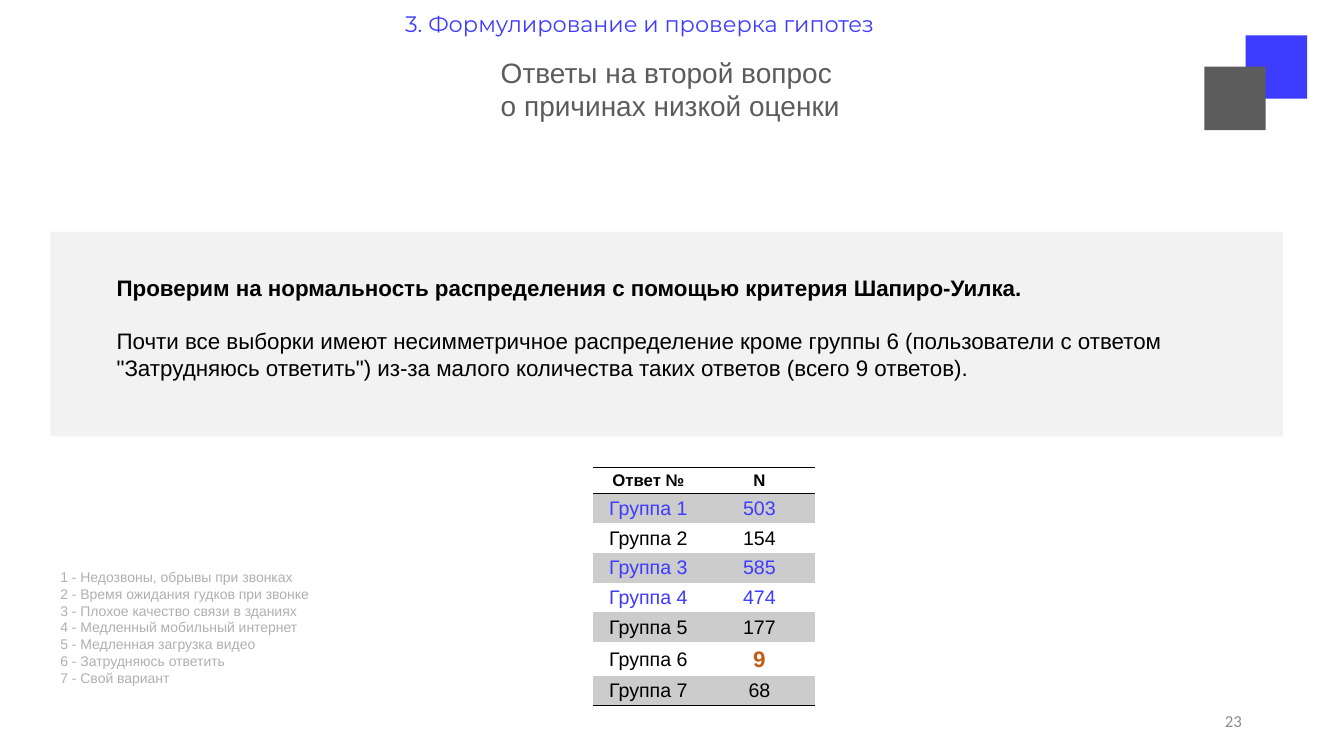
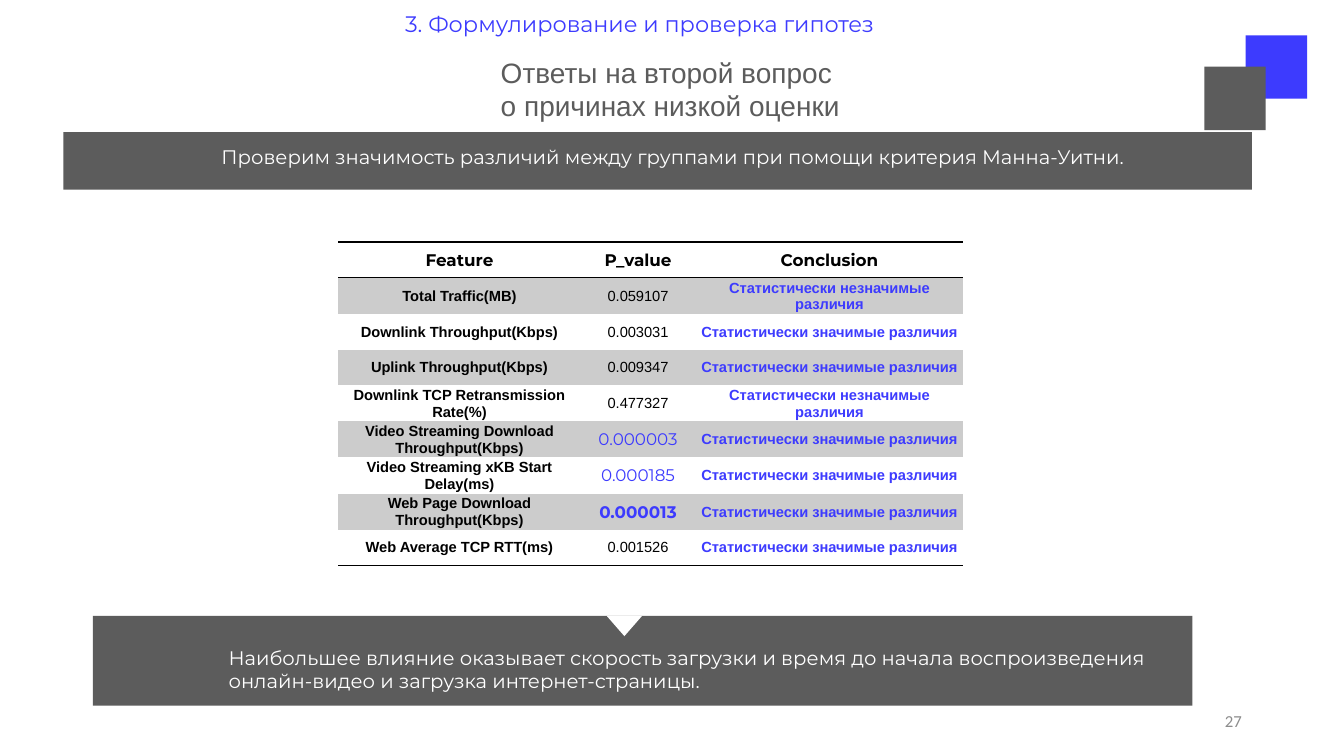
from lxml.etree import SubElement
from pptx import Presentation
from pptx.dml.color import RGBColor
from pptx.enum.shapes import MSO_SHAPE
from pptx.enum.text import MSO_ANCHOR, PP_ALIGN
from pptx.oxml.ns import qn
from pptx.util import Cm, Pt

BLUE, GRAY, PALE, BAND = "3D3BFE", "5C5C5C", "F2F2F2", "CCCCCC"
BLACK, WHITE, RUST = "000000", "FFFFFF", "C55A11"
NO_STYLE = "{2D5ABB26-0587-4C30-8999-92F81FD0307C}"

SECTION = "3. Формулирование и проверка гипотез"
TITLE = ["Ответы на второй вопрос", "о причинах низкой оценки"]

CLAIM = "Проверим на нормальность распределения с помощью критерия Шапиро-Уилка."
DETAIL = (
    "Почти все выборки имеют несимметричное распределение кроме группы 6 "
    '(пользователи с ответом "Затрудняюсь ответить") из-за малого количества '
    "таких ответов (всего 9 ответов)."
)
ANSWERS = [
    "Недозвоны, обрывы при звонках",
    "Время ожидания гудков при звонке",
    "Плохое качество связи в зданиях",
    "Медленный мобильный интернет",
    "Медленная загрузка видео",
    "Затрудняюсь ответить",
    "Свой вариант",
]
COUNTS = [503, 154, 585, 474, 177, 9, 68]
LARGE = 400  # groups above this size are blue

TEST = "Проверим значимость различий между группами при помощи критерия Манна-Уитни."
RESULT = (
    "Наибольшее влияние оказывает скорость загрузки и время до начала "
    "воспроизведения онлайн-видео и загрузка интернет-страницы."
)
SAME = "Статистически незначимые различия"
DIFFER = "Статистически значимые различия"
PLAIN = dict(size=10.5)
STRONG = dict(size=10.5, bold=True)
VERDICT = dict(STRONG, color=BLUE)
KEY = dict(size=12, font="Montserrat", color=BLUE)
TOP = dict(KEY, bold=True)
FEATURES = [
    ("Total Traffic(MB)", "0.059107", PLAIN, SAME),
    ("Downlink Throughput(Kbps)", "0.003031", PLAIN, DIFFER),
    ("Uplink Throughput(Kbps)", "0.009347", PLAIN, DIFFER),
    ("Downlink TCP Retransmission Rate(%)", "0.477327", PLAIN, SAME),
    ("Video Streaming Download Throughput(Kbps)", "0.000003", KEY, DIFFER),
    ("Video Streaming xKB Start Delay(ms)", "0.000185", KEY, DIFFER),
    ("Web Page Download Throughput(Kbps)", "0.000013", TOP, DIFFER),
    ("Web Average TCP RTT(ms)", "0.001526", PLAIN, DIFFER),
]


def rgb(code):
    return RGBColor.from_string(code)


def write(para, text, size=14, font="Arial", color=BLACK, bold=False):
    run = para.add_run()
    run.text = text
    for name, value in dict(size=Pt(size), name=font, bold=bold).items():
        setattr(run.font, name, value)
    run.font.color.rgb = rgb(color)


def add_text(slide, box, lines, layout=None, anchor=MSO_ANCHOR.TOP, **style):
    """Each line is a string or a (string, style) pair; layout sets paragraphs."""
    frame = slide.shapes.add_textbox(*map(Cm, box)).text_frame
    frame.word_wrap = True
    frame.vertical_anchor = anchor
    for i, line in enumerate(lines):
        para = frame.add_paragraph() if i else frame.paragraphs[0]
        for name, value in (layout or {}).items():
            setattr(para, name, value)
        text, extra = (line, {}) if isinstance(line, str) else line
        write(para, text, **{**style, **extra})
    return frame


def add_block(slide, box, color, kind=MSO_SHAPE.RECTANGLE):
    block = slide.shapes.add_shape(kind, *map(Cm, box))
    block.shadow.inherit = False
    block.fill.solid()
    block.fill.fore_color.rgb = rgb(color)
    block.line.fill.background()
    return block


def add_rule(cell, side):
    """Draw a black 1 pt border; must come before the cell's fill."""
    line = SubElement(cell._tc.get_or_add_tcPr(), qn("a:ln" + side), w=str(Pt(1)))
    fill = SubElement(line, qn("a:solidFill"))
    SubElement(fill, qn("a:srgbClr"), val=BLACK)


def add_grid(slide, left, top, widths, heights, rows):
    """Rows hold (text, style) pairs; the first row is the header."""
    last = len(rows) - 1
    size = (sum(widths), sum(heights))
    frame = slide.shapes.add_table(
        len(rows), len(widths), *map(Cm, (left, top, *size)))
    grid = frame.table
    grid.first_row = grid.horz_banding = False
    grid._tbl.tblPr.find(qn("a:tableStyleId")).text = NO_STYLE
    for col, width in zip(grid.columns, widths):
        col.width = Cm(width)
    for i, (row, height) in enumerate(zip(rows, heights)):
        grid.rows[i].height = Cm(height)
        for cell, (text, style) in zip(grid.rows[i].cells, row):
            for side in {0: "TB", last: "B"}.get(i, ""):
                add_rule(cell, side)
            if i % 2:
                cell.fill.solid()
                cell.fill.fore_color.rgb = rgb(BAND)
            else:
                cell.fill.background()
            cell.vertical_anchor = MSO_ANCHOR.MIDDLE
            for edge in ("left", "right", "top"):
                setattr(cell, "margin_" + edge, Cm(0.02))
            cell.margin_bottom = 0
            para = cell.text_frame.paragraphs[0]
            para.alignment = PP_ALIGN.CENTER
            write(para, text, **style)


def add_slide(deck, number):
    slide = deck.slides.add_slide(deck.slide_layouts[6])
    add_text(slide, (23.93, 17.65, 7.62, 1.02), [str(number)],
             dict(alignment=PP_ALIGN.RIGHT), MSO_ANCHOR.MIDDLE,
             size=12, font="Calibri", color="8C8C8C")
    add_block(slide, (31.39, 0.89, 1.55, 1.6), BLUE)
    add_block(slide, (30.35, 1.68, 1.55, 1.6), GRAY)
    add_text(slide, (9.96, 0.08, 13.97, 1.12), [SECTION],
             dict(line_spacing=0.9), MSO_ANCHOR.MIDDLE,
             size=16, font="Montserrat", color=BLUE)
    add_text(slide, (12.37, 1.27, 9.12, 1.96), TITLE, size=20, color=GRAY)
    return slide


def add_groups(deck):
    slide = add_slide(deck, 23)
    add_block(slide, (1.27, 5.84, 31.06, 5.16), PALE)
    head = dict(size=12, bold=True)
    rows = [[("Ответ №", head), ("N", head)]]
    least = min(COUNTS)
    for i, count in enumerate(COUNTS, 1):
        style = dict(color=BLUE if count > LARGE else BLACK)
        mark = dict(size=16, color=RUST, bold=True) if count == least else style
        rows.append([(f"Группа {i}", style), (str(count), mark)])
    heights = [0.64] + [0.85 if n == least else 0.75 for n in COUNTS]
    add_grid(slide, 14.94, 11.79, [2.8, 2.8], heights, rows)
    body = add_text(slide, (2.69, 6.78, 27.66, 3),
                    [(CLAIM, dict(bold=True)), DETAIL], size=16)
    body.paragraphs[1].space_before = Pt(19)
    legend = [f"{i} - {answer}" for i, answer in enumerate(ANSWERS, 1)]
    add_text(slide, (1.27, 14.2, 7.11, 3.25), legend, size=10, color="B0B0B0")


def add_tests(deck):
    slide = add_slide(deck, 27)
    head = dict(size=12, font="Montserrat", bold=True)
    rows = [[(text, head) for text in ("Feature", "P_value", "Conclusion")]]
    for name, value, style, verdict in FEATURES:
        rows.append([(name, STRONG), (value, style), (verdict, VERDICT)])
    add_grid(slide, 8.53, 6.1, [6.1, 2.9, 6.75], [0.9] * len(rows), rows)
    add_block(slide, (2.34, 15.52, 27.71, 2.26), GRAY)
    notch = add_block(slide, (15.29, 15.52, 0.89, 0.51), WHITE,
                      MSO_SHAPE.ISOSCELES_TRIANGLE)
    notch.rotation = 180
    add_block(slide, (1.6, 3.33, 29.95, 1.45), GRAY)
    for box, text in (((5.51, 16.15, 24.54, 1.45), RESULT),
                      ((5.33, 3.53, 25.78, 0.86), TEST)):
        add_text(slide, box, [text], font="Montserrat", color=WHITE)


def main():
    deck = Presentation()
    deck.slide_width, deck.slide_height = Cm(33.87), Cm(19.05)
    add_groups(deck)
    add_tests(deck)
    deck.save("out.pptx")


if __name__ == "__main__":
    main()
